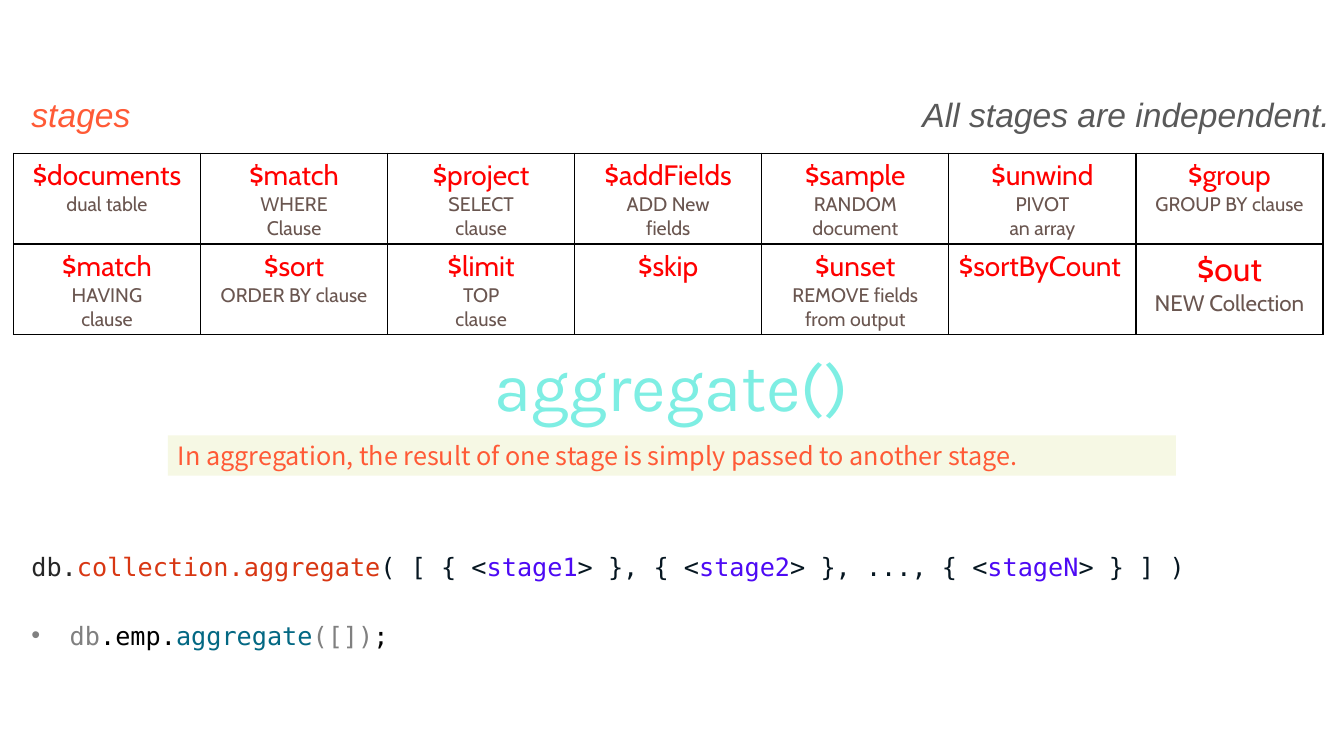
from lxml import etree
from pptx import Presentation
from pptx import util as u
from pptx.dml.color import RGBColor
from pptx.enum import shapes, text
from pptx.oxml.ns import qn

WIDTH, HEIGHT = u.Inches(13.33), u.Inches(7.5)
MONO, SANS, CABIN = "DejaVu Sans Mono", "Arial", "Cabin"
RED, BROWN, ORANGE, GREY = "FF0000", "6A5650", "FF5A36", "808080"
INK, VIOLET, BLACK = "061621", "4D0AF4", "000000"
LEFT, CENTER = text.PP_ALIGN.LEFT, text.PP_ALIGN.CENTER

STAGES = [
    [("$documents", "dual table"), ("$match", "WHERE", "Clause"),
     ("$project", "SELECT", "clause"), ("$addFields", "ADD New", "fields"),
     ("$sample", "RANDOM", "document"), ("$unwind", "PIVOT", "an array"),
     ("$group", "GROUP BY clause")],
    [("$match", "HAVING", "clause"), ("$sort", "ORDER BY clause"),
     ("$limit", "TOP", "clause"), ("$skip",),
     ("$unset", "REMOVE fields from output"), ("$sortByCount",),
     ("$out", "NEW Collection")],
]
SYNTAX = [("db.", "262626"), ("collection.aggregate", "D83713"),
          ("( [ { <", INK), ("stage1", VIOLET), ("> }, { <", INK),
          ("stage2", VIOLET), ("> }, ..., { <", INK), ("stageN", VIOLET),
          ("> } ] )", INK)]
EXAMPLE = [("db", GREY), (".emp.", BLACK), ("aggregate", "036883"),
           ("([])", GREY), (";", BLACK)]


def color(hex_code):
    """Turn a hex string into a colour."""
    return RGBColor.from_string(hex_code)


def grid(left, top, width, height):
    """Convert a place on a grid of 100 columns and 100 rows to lengths."""
    return (int(WIDTH * left / 100), int(HEIGHT * top / 100),
            int(WIDTH * width / 100), int(HEIGHT * height / 100))


def add_runs(p, runs, size, font, italic=False):
    """Write (words, hex colour) runs into a paragraph."""
    for words, hex_code in runs:
        r = p.add_run()
        r.text = words
        r.font.size, r.font.name = u.Pt(size), font
        r.font.italic = italic
        r.font.color.rgb = color(hex_code)


def add_title(s, place, words):
    """Move the title placeholder and fill it."""
    sp = s.shapes.title
    sp.left, sp.top, sp.width, sp.height = grid(*place)
    tf = sp.text_frame
    tf.auto_size = text.MSO_AUTO_SIZE.NONE
    tf.vertical_anchor = text.MSO_ANCHOR.MIDDLE
    tf.paragraphs[0].alignment = CENTER
    add_runs(tf.paragraphs[0], [(words, "7EEEE3")], 48, "Karla")


def add_band(s, place, words):
    """Add a filled rectangle with one line of text."""
    sp = s.shapes.add_shape(shapes.MSO_SHAPE.RECTANGLE, *grid(*place))
    sp.shadow.inherit = False
    sp.fill.solid()
    sp.fill.fore_color.rgb = color("F6F8E4")
    sp.line.fill.background()
    p = sp.text_frame.paragraphs[0]
    p.alignment = LEFT
    add_runs(p, [(words, ORANGE)], 18, "Noto Sans CJK SC")


def add_text(s, place, runs, size, font, italic=False, wrap=True):
    """Add a text box and return its paragraph."""
    tf = s.shapes.add_textbox(*grid(*place)).text_frame
    tf.word_wrap = wrap
    p = tf.paragraphs[0]
    add_runs(p, runs, size, font, italic)
    return p


def add_bullet(p):
    """Give a paragraph a hanging round bullet."""
    pPr = p._p.get_or_add_pPr()
    pPr.set("marL", str(u.Inches(0.38)))
    pPr.set("indent", str(-u.Inches(0.38)))
    etree.SubElement(pPr, qn("a:buFont")).set("typeface", SANS)
    etree.SubElement(pPr, qn("a:buChar")).set("char", "•")


def add_borders(cell):
    """Draw a thin black line on each side of a cell."""
    tcPr = cell._tc.get_or_add_tcPr()
    for index, side in enumerate(("lnL", "lnR", "lnT", "lnB")):
        ln = etree.Element(qn("a:" + side), w=str(u.Pt(1)))
        fill = etree.SubElement(ln, qn("a:solidFill"))
        etree.SubElement(fill, qn("a:srgbClr")).set("val", BLACK)
        tcPr.insert(index, ln)


def fill_cell(cell, lines):
    """Write a stage name and its SQL counterpart into a cell."""
    cell.fill.background()
    add_borders(cell)
    name_size, note_size = (24, 16) if lines[0] == "$out" else (20, 14)
    tf = cell.text_frame
    for index, words in enumerate(lines):
        p = tf.add_paragraph() if index else tf.paragraphs[0]
        p.alignment = LEFT if words == "$sortByCount" else CENTER
        add_runs(p, [(words, BROWN if index else RED)],
                 note_size if index else name_size, CABIN)


def add_stage_table(s, place):
    """Add the table of stages with equal columns and rows."""
    table = s.shapes.add_table(len(STAGES), len(STAGES[0]), *grid(*place)).table
    table.first_row = table.horz_banding = False
    for row, stages in zip(table.rows, STAGES):
        for cell, lines in zip(row.cells, stages):
            fill_cell(cell, lines)


def main():
    """Build and save the slide."""
    prs = Presentation()
    prs.slide_width, prs.slide_height = WIDTH, HEIGHT
    s = prs.slides.add_slide(prs.slide_layouts[5])
    add_title(s, (13.75, 44.8, 72.5, 12.27), "aggregate()")
    add_band(s, (12.5, 57.6, 75, 5.33),
             "In aggregation, the result of one stage is simply passed to another stage.")
    add_text(s, (67.9, 11.73, 32.1, 6.67), [("All stages are independent.", "595959")],
             24, SANS, italic=True, wrap=False)
    add_stage_table(s, (1, 20.27, 97.45, 24))
    add_text(s, (1.6, 11.73, 8.9, 6.67), [("stages", ORANGE)],
             24, SANS, italic=True, wrap=False)
    add_text(s, (1.6, 72.27, 96.85, 5.33), SYNTAX, 18, MONO)
    add_bullet(add_text(s, (1.6, 81.33, 71.95, 5.33), EXAMPLE, 18, MONO))
    prs.save("out.pptx")


if __name__ == "__main__":
    main()
